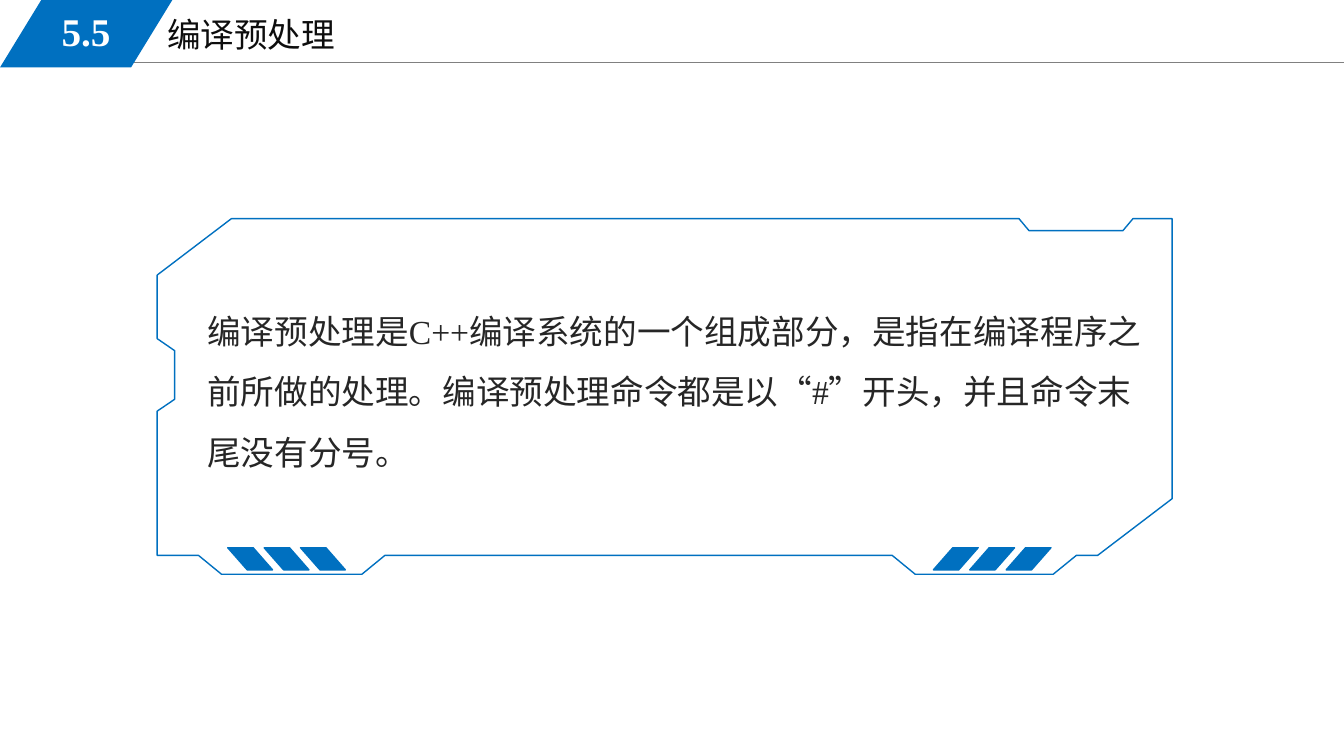
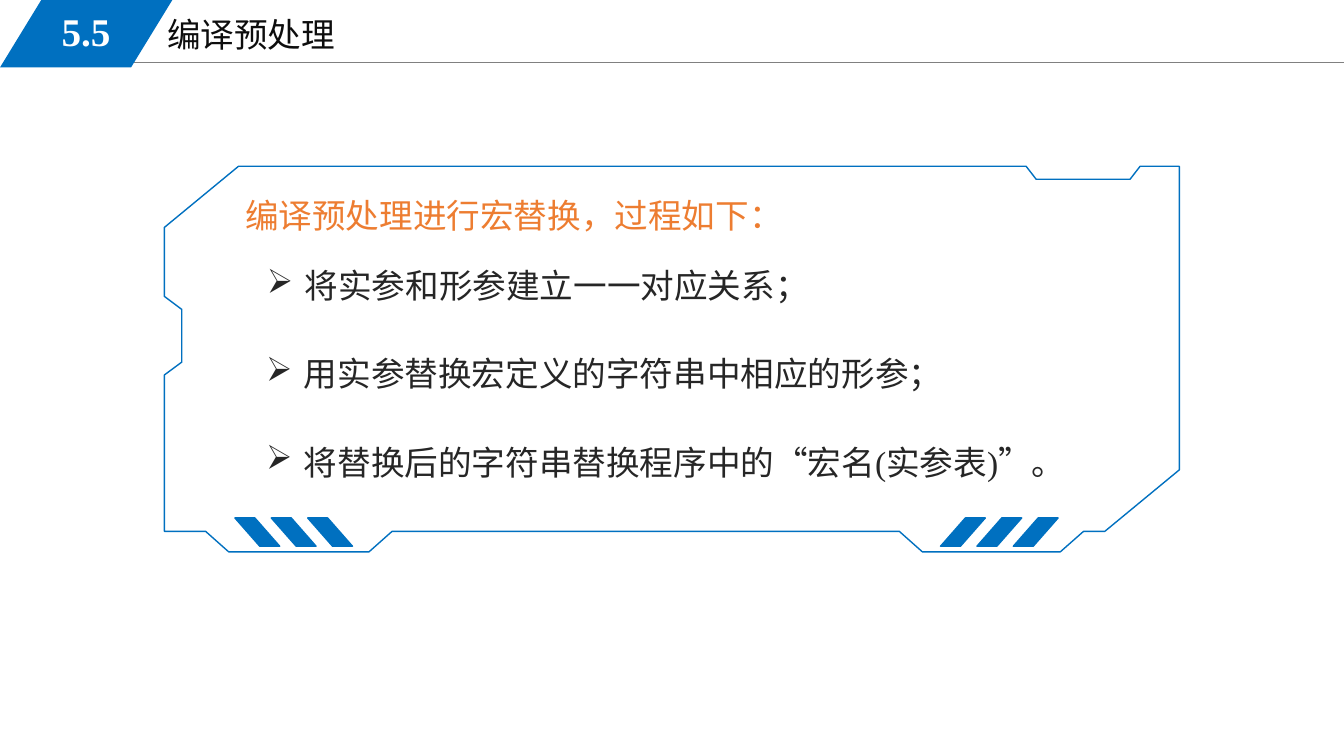
from lxml import etree
from pptx import Presentation
from pptx.dml.color import RGBColor
from pptx.enum.shapes import MSO_CONNECTOR as Connector, MSO_SHAPE as Shape
from pptx.enum.text import MSO_ANCHOR as Anchor, MSO_AUTO_SIZE as AutoSize, PP_ALIGN as Align
from pptx.oxml.ns import qn
from pptx.util import Pt

COLORS = {
    "blue": "0070C0",
    "orange": "ED7D31",
    "gray": "808080",
    "title": "0D0D0D",
    "body": "262626",
    "white": "FFFFFF",
}
FONT = "Times New Roman"
FRAME_WIDTH, FRAME_HEIGHT = 725, 254
FRAME_POINTS = [
    (53, 0), (615.6, 0), (622.8, 8.6), (689.8, 8.6), (697, 0), (FRAME_WIDTH, 0),
    (FRAME_WIDTH, 200), (671.8, 240.5), (656.6, 240.5), (640, FRAME_HEIGHT),
    (541.5, FRAME_HEIGHT), (525, 240.5), (162.7, 240.5), (146.2, FRAME_HEIGHT),
    (46, FRAME_HEIGHT), (29.5, 240.5), (0, 240.5), (0, 137.5), (12.5, 129),
    (12.5, 94.3), (0, 85.7), (0, 40.3),
]
BAR_GROUPS = [(50.4, True), (554.4, False)]
BAR_WIDTH, BAR_PITCH, BAR_COUNT = 32, 26, 3
BULLET_INDENT = 27


def rgb(name):
    return RGBColor.from_string(COLORS[name])


class Deck:
    """Holds the shared style and the slide being built."""

    def __init__(self):
        self.presentation = Presentation()
        self.presentation.slide_width = Pt(960)
        self.presentation.slide_height = Pt(540)
        self.slide = None

    def add_slide(self, number, title):
        self.slide = self.presentation.slides.add_slide(self.presentation.slide_layouts[6])
        self.rule(81.4, 44.6, 960)
        self.text(title, 112.3, 6.5, 408, 36.7, color="title")
        self.parallelogram(0, 0, 123.1, 48.2, 0.612)
        self.text(number, 18, 1.4, 87, 41.8, color="white", anchor=Anchor.MIDDLE,
                  paragraph_format={"alignment": Align.CENTER},
                  font_format={"size": Pt(28), "bold": True})

    def rule(self, left, top, right):
        line = self.slide.shapes.add_connector(
            Connector.STRAIGHT, Pt(left), Pt(top), Pt(right), Pt(top))
        line.line.color.rgb = rgb("gray")
        line.line.width = Pt(0.75)
        etree.SubElement(line._element.spPr, qn("a:effectLst"))

    def parallelogram(self, left, top, width, height, slant, outlined=False, flipped=False):
        shape = self.slide.shapes.add_shape(
            Shape.PARALLELOGRAM, Pt(left), Pt(top), Pt(width), Pt(height))
        shape.adjustments[0] = slant
        shape.shadow.inherit = False
        shape.fill.solid()
        shape.fill.fore_color.rgb = rgb("blue")
        if outlined:
            self.outline(shape)
        else:
            shape.line.fill.background()
        if flipped:
            shape._element.spPr.xfrm.set("flipH", "1")

    def outline(self, shape):
        shape.line.color.rgb = rgb("blue")
        shape.line.width = Pt(1)

    def frame(self, left, top, height, bar_height):
        scale = height / FRAME_HEIGHT
        points = [(Pt(left + x), Pt(top + y * scale)) for x, y in FRAME_POINTS]
        builder = self.slide.shapes.build_freeform(*points[0])
        builder.add_line_segments(points[1:], close=True)
        shape = builder.convert_to_shape()
        shape.shadow.inherit = False
        shape.fill.background()
        self.outline(shape)
        bar_top = top + height - 1.2 * bar_height
        for start, flipped in BAR_GROUPS:
            for index in range(BAR_COUNT):
                self.parallelogram(left + start + index * BAR_PITCH, bar_top, BAR_WIDTH,
                                   bar_height, 0.878, outlined=True, flipped=flipped)

    def text(self, content, left, top, width, height, color="body", anchor=Anchor.TOP,
             paragraph_format=None, font_format=None):
        box = self.slide.shapes.add_textbox(Pt(left), Pt(top), Pt(width), Pt(height))
        frame = box.text_frame
        frame.word_wrap = True
        frame.auto_size = AutoSize.SHAPE_TO_FIT_TEXT
        frame.vertical_anchor = anchor
        paragraph = frame.paragraphs[0]
        run = paragraph.add_run()
        run.text = content
        run.font.color.rgb = rgb(color)
        font_values = {"name": FONT, "size": Pt(24), **(font_format or {})}
        for target, values in ((paragraph, paragraph_format or {}), (run.font, font_values)):
            for name, value in values.items():
                setattr(target, name, value)
        return paragraph

    def bullet(self, content, left, top, width, height):
        paragraph = self.text(content, left, top, width, height)
        properties = paragraph._p.get_or_add_pPr()
        properties.set("marL", str(Pt(BULLET_INDENT)))
        properties.set("indent", str(-Pt(BULLET_INDENT)))
        bullet_color = etree.SubElement(properties, qn("a:buClr"))
        etree.SubElement(bullet_color, qn("a:srgbClr"), val=COLORS["body"])
        etree.SubElement(properties, qn("a:buChar"), char="➢")


def main():
    deck = Deck()
    section = ("5.5", "编译预处理")

    deck.add_slide(*section)
    deck.text("编译预处理是C++编译系统的一个组成部分，是指在编译程序之前所做的处理。"
              "编译预处理命令都是以“#”开头，并且命令末尾没有分号。",
              141, 203.8, 696.2, 133.2, paragraph_format={"line_spacing": 1.5})
    deck.frame(112.3, 156.2, 254, 15.8)

    deck.add_slide(*section)
    deck.frame(117.4, 118.8, 275.4, 20.2)
    deck.text("编译预处理进行宏替换，过程如下：", 168, 136, 436, 36, color="orange")
    steps = [
        ("将实参和形参建立一一对应关系；", 183.6, 473),
        ("用实参替换宏定义的字符串中相应的形参；", 183, 595),
        ("将替换后的字符串替换程序中的“宏名(实参表)”。", 183, 595),
    ]
    for index, (step, left, width) in enumerate(steps):
        deck.bullet(step, left, 185.8 + index * 63, width, 36)

    deck.presentation.save("out.pptx")


if __name__ == "__main__":
    main()
